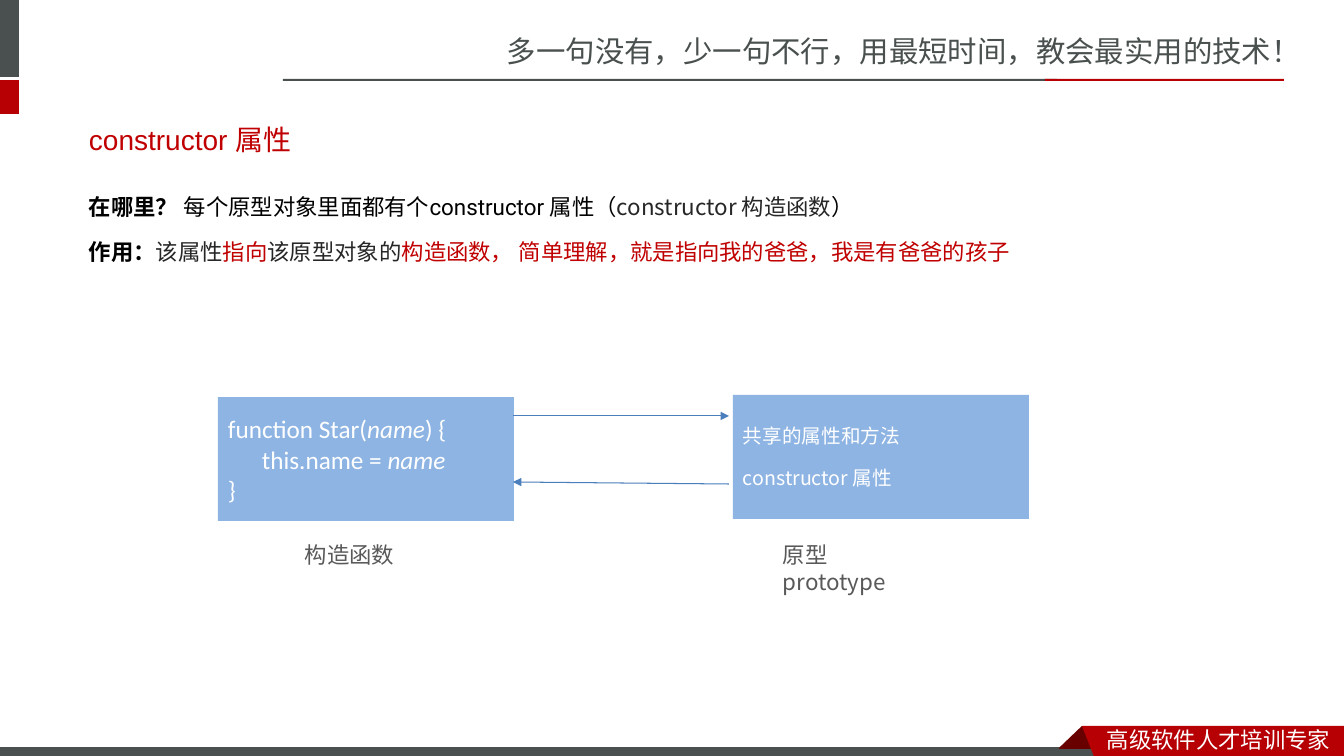
from dataclasses import dataclass

from lxml import etree
from pptx import Presentation
from pptx.dml.color import RGBColor
from pptx.enum import shapes, text
from pptx.oxml import ns
from pptx import util as u

EMU_PER_PX = 914400 / 100.8
SLATE = RGBColor(0x49, 0x50, 0x4F)
RED = RGBColor(0xB6, 0x00, 0x04)
DARK_RED = RGBColor(0x68, 0x00, 0x00)
ACCENT = RGBColor(0xC0, 0x00, 0x00)
BLACK = RGBColor(0x00, 0x00, 0x00)
INK = RGBColor(0x26, 0x26, 0x26)
GREY = RGBColor(0x59, 0x59, 0x59)
WHITE = RGBColor(0xFF, 0xFF, 0xFF)
BLUE = RGBColor(0x8E, 0xB4, 0xE3)
ARROW_BLUE = RGBColor(0x4B, 0x7E, 0xBC)
SANS_SC = "Noto Sans CJK SC"
SANS_JP = "Noto Sans CJK JP"


@dataclass(frozen=True)
class Box:
    left: int
    top: int
    width: int
    height: int


@dataclass(frozen=True)
class Bar:
    box: Box
    color: RGBColor
    outlined: bool = False


@dataclass(frozen=True)
class Ribbon:
    points: tuple[tuple[int, int], ...]
    color: RGBColor


@dataclass(frozen=True)
class Arrow:
    start: tuple[int, int]
    end: tuple[int, int]


@dataclass(frozen=True)
class Label:
    content: str
    box: Box
    size: int
    font: str
    color: RGBColor
    middle: bool = False
    right_inset: int = 10


BARS = (
    Bar(Box(-6, 0, 25, 77), SLATE),
    Bar(Box(-6, 80, 25, 34), RED),
    Bar(Box(283, 79, 774, 2), SLATE),
    Bar(Box(1045, 79, 239, 2), RED),
    Bar(Box(-1, 747, 1109, 12), SLATE, outlined=True),
)
RIBBONS = (
    Ribbon(((1082, 726), (1104, 748), (1103, 749), (1060, 749), (1059, 748)), DARK_RED),
    Ribbon(((1082, 726), (1344, 726), (1344, 760), (1095, 759)), RED),
)
LABELS = (
    Label("多一句没有，少一句不行，用最短时间，教会最实用的技术！",
          Box(497, 28, 847, 47), 21, SANS_SC, SLATE),
    Label("高级软件人才培训专家", Box(1097, 721, 247, 37), 16, SANS_SC, WHITE),
    Label("constructor 属性", Box(79, 111, 1184, 57), 20, "Arial", ACCENT, middle=True),
    Label("构造函数", Box(295, 536, 110, 37), 16, SANS_JP, GREY),
    Label("原型 prototype", Box(773, 536, 176, 37), 16, SANS_JP, GREY, right_inset=40),
)
ARROWS = (Arrow((513, 416), (729, 416)), Arrow((729, 484), (513, 482)))


def px(n: int) -> u.Emu:
    return u.Emu(round(n * EMU_PER_PX))


def place(box: Box) -> tuple[u.Emu, ...]:
    return px(box.left), px(box.top), px(box.width), px(box.height)


def add_run(p, content: str, *, size: int, font: str, color: RGBColor,
            bold: bool = False, italic: bool = False) -> None:
    r = p.add_run()
    r.text = content
    r.font.size = u.Pt(size)
    r.font.name = font
    r.font.bold = bold
    r.font.italic = italic
    r.font.color.rgb = color
    ea = etree.SubElement(r.font._element, ns.qn("a:ea"))
    ea.set("typeface", font)


def paint(sp, color: RGBColor) -> None:
    sp.shadow.inherit = False
    sp.fill.solid()
    sp.fill.fore_color.rgb = color
    sp.line.fill.background()


def add_rect(s, box: Box, color: RGBColor):
    sp = s.shapes.add_shape(shapes.MSO_SHAPE.RECTANGLE, *place(box))
    paint(sp, color)
    return sp


def add_bar(s, bar: Bar) -> None:
    sp = add_rect(s, bar.box, bar.color)
    if bar.outlined:
        sp.line.color.rgb = WHITE
        sp.line.width = u.Pt(0.75)


def add_ribbon(s, ribbon: Ribbon) -> None:
    builder = s.shapes.build_freeform(*ribbon.points[0], scale=EMU_PER_PX)
    builder.add_line_segments(ribbon.points[1:], close=True)
    paint(builder.convert_to_shape(), ribbon.color)


def add_frame(s, box: Box):
    tf = s.shapes.add_textbox(*place(box)).text_frame
    tf.word_wrap = True
    return tf


def add_label(s, label: Label) -> None:
    tf = add_frame(s, label.box)
    tf.margin_right = px(label.right_inset)
    if label.middle:
        tf.vertical_anchor = text.MSO_ANCHOR.MIDDLE
    add_run(tf.paragraphs[0], label.content,
            size=label.size, font=label.font, color=label.color)


def add_arrow(s, arrow: Arrow) -> None:
    points = [px(n) for n in (*arrow.start, *arrow.end)]
    c = s.shapes.add_connector(shapes.MSO_CONNECTOR.STRAIGHT, *points)
    c.line.color.rgb = ARROW_BLUE
    c.line.width = u.Pt(0.75)
    tail = etree.SubElement(c.line._get_or_add_ln(), ns.qn("a:tailEnd"))
    tail.set("type", "triangle")
    etree.SubElement(c._element.spPr, ns.qn("a:effectLst"))


def add_explanation(s) -> None:
    tf = add_frame(s, Box(79, 175, 1225, 567))
    where, purpose = tf.paragraphs[0], tf.add_paragraph()
    where.line_spacing = purpose.line_spacing = 1.5
    purpose.space_before = u.Pt(3.2)
    body = {"size": 16, "font": "Roboto"}
    add_run(where, "在哪里？ ", color=BLACK, bold=True, **body)
    add_run(where, "每个原型对象里面都有个constructor 属性（", color=BLACK, **body)
    add_run(where, "constructor 构造函数", size=16, font=SANS_JP, color=INK)
    add_run(where, "）", color=BLACK, **body)
    add_run(purpose, "作用：", color=BLACK, bold=True, **body)
    for content, color in (
        ("该属性", INK), ("指向", ACCENT), ("该原型对象的", INK),
        ("构造函数， 简单理解，就是指向我的爸爸，我是有爸爸的孩子", ACCENT),
    ):
        add_run(purpose, content, color=color, **body)


def add_card(s, box: Box, lines, *, size: int, font: str) -> list:
    tf = add_rect(s, box, BLUE).text_frame
    tf.vertical_anchor = text.MSO_ANCHOR.MIDDLE
    for i, line in enumerate(lines):
        p = tf.add_paragraph() if i else tf.paragraphs[0]
        p.alignment = text.PP_ALIGN.LEFT
        for content, italic in line:
            add_run(p, content, size=size, font=font, color=WHITE, italic=italic)
    return list(tf.paragraphs)


def main() -> None:
    prs = Presentation()
    prs.slide_width, prs.slide_height = px(1344), px(756)
    s = prs.slides.add_slide(prs.slide_layouts[6])
    for bar in BARS:
        add_bar(s, bar)
    for ribbon in RIBBONS:
        add_ribbon(s, ribbon)
    for label in LABELS:
        add_label(s, label)
    add_explanation(s)
    code = add_card(s, Box(218, 397, 296, 124), (
        (("function Star(", False), ("name", True), (") {", False)),
        (("this.name = ", False), ("name", True)),
        (("}", False),),
    ), size=18, font="Calibri")
    code[1]._p.get_or_add_pPr().set("marL", str(px(34)))
    shared = add_card(s, Box(733, 395, 296, 124), (
        (("共享的属性和方法", False),), (("constructor 属性", False),),
    ), size=14, font=SANS_JP)
    shared[1].space_before = u.Pt(13.4)
    for arrow in ARROWS:
        add_arrow(s, arrow)
    prs.save("out.pptx")


if __name__ == "__main__":
    main()
